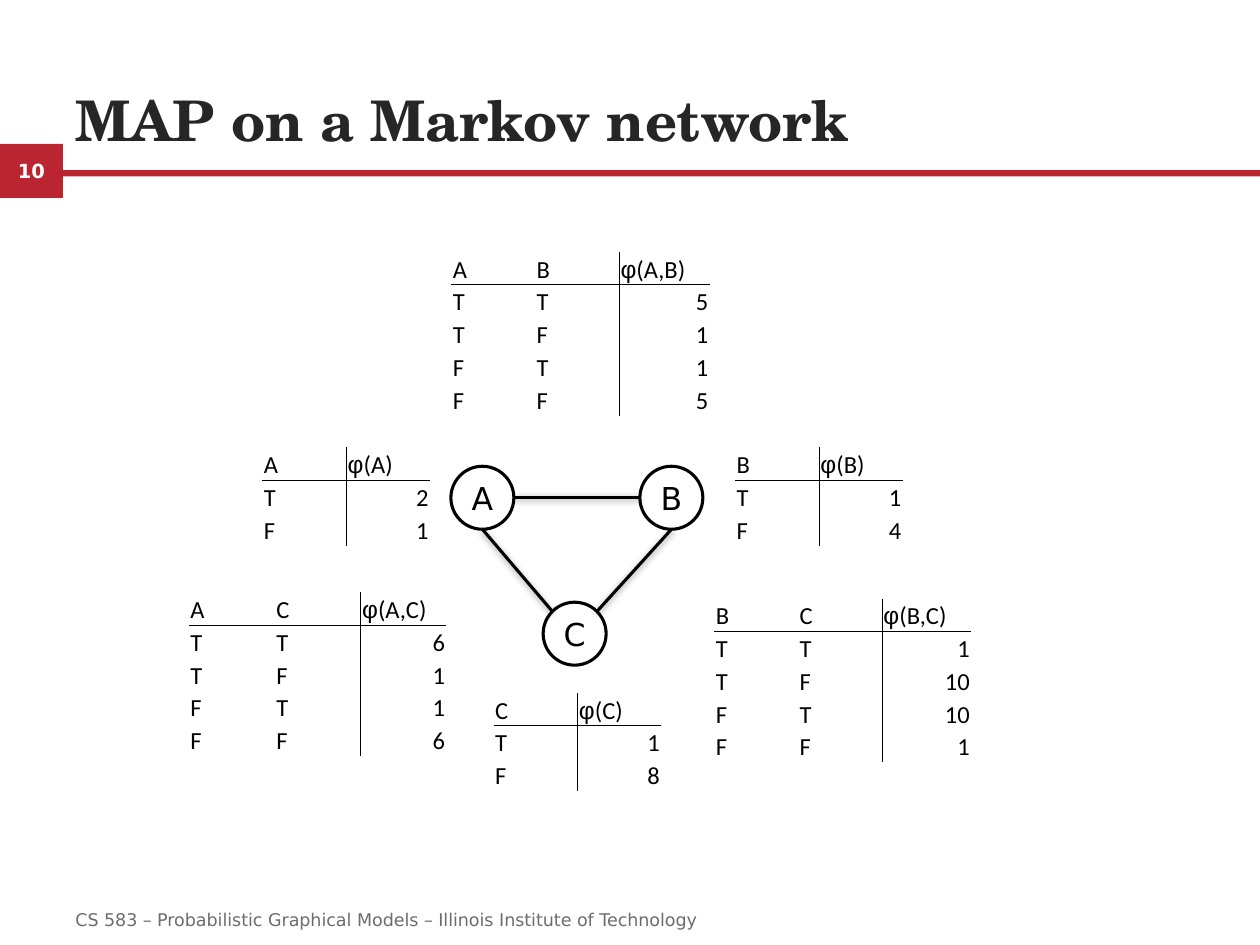
import math
from itertools import product

from lxml import etree
from pptx import Presentation
from pptx.dml.color import RGBColor
from pptx.enum.shapes import MSO_CONNECTOR, MSO_SHAPE
from pptx.enum.text import MSO_ANCHOR, PP_ALIGN
from pptx.oxml.ns import qn
from pptx.util import Cm, Pt

RECTANGLE, ELLIPSE = MSO_SHAPE.RECTANGLE, MSO_SHAPE.OVAL
STRAIGHT = MSO_CONNECTOR.STRAIGHT
MIDDLE, BOTTOM = MSO_ANCHOR.MIDDLE, MSO_ANCHOR.BOTTOM
LEFT, CENTER, RIGHT = PP_ALIGN.LEFT, PP_ALIGN.CENTER, PP_ALIGN.RIGHT

COLORS = {"accent": "BB2532", "title": "262626", "footer": "6D6D6D",
          "ink": "000000", "paper": "FFFFFF"}
TITLE_FONT, BODY_FONT = "TeX Gyre Schola", "DejaVu Sans"
TABLE_FONT, GREEK_FONT = "Calibri", "Arial"

TITLE = "MAP on a Markov network"
FOOTER = "CS 583 – Probabilistic Graphical Models – Illinois Institute of Technology"
PAGE = "10"

# Lengths are centimetres; angles are degrees, clockwise from the right.
NODE_SIZE = 1.27
NODES = {"A": (9.09, 9.4), "C": (10.95, 12.14), "B": (12.9, 9.4)}
EDGES = [("A", 0, "B", 180), ("C", -45, "B", 90), ("A", 90, "C", -135)]

# variables, values in the order TT, TF, FT, FF, left, top, column widths
FACTORS = [
    ("A", (2, 1), 5.29, 9.02, (1.69, 1.69)),
    ("B", (1, 4), 14.82, 9.02, (1.69, 1.69)),
    ("C", (1, 8), 9.95, 13.97, (1.69, 1.69)),
    ("AB", (5, 1, 1, 5), 9.1, 5.08, (1.69, 1.69, 1.83)),
    ("BC", (1, 10, 10, 1), 14.4, 12.07, (1.69, 1.69, 1.8)),
    ("AC", (6, 1, 1, 6), 3.81, 11.94, (1.73, 1.73, 1.73)),
]
ROW_HEIGHT = 0.66
INSET = 0.03


def rgb(name):
    return RGBColor.from_string(COLORS[name])


def format_run(run, size, font, color, bold=False):
    run.font.size, run.font.name, run.font.bold = Pt(size), font, bold
    run.font.color.rgb = rgb(color)


def write(frame, text, size, font, color, anchor, align=LEFT, bold=False):
    frame.text = text
    frame.word_wrap = True
    frame.vertical_anchor = anchor
    paragraph = frame.paragraphs[0]
    paragraph.alignment = align
    format_run(paragraph.runs[0], size, font, color, bold)


def add_text(slide, box, *style, **options):
    label = slide.shapes.add_textbox(*map(Cm, box))
    write(label.text_frame, *style, **options)


def add_filled(slide, kind, box, color):
    shape = slide.shapes.add_shape(kind, *map(Cm, box))
    shape.shadow.inherit = False
    shape.fill.solid()
    shape.fill.fore_color.rgb = rgb(color)
    shape.line.fill.background()
    return shape


def add_node(slide, name):
    node = add_filled(slide, ELLIPSE, (*NODES[name], NODE_SIZE, NODE_SIZE), "paper")
    node.line.color.rgb = rgb("ink")
    node.line.width = Pt(1.75)
    frame = node.text_frame
    frame.margin_left = frame.margin_right = frame.margin_top = frame.margin_bottom = 0
    write(frame, name, 18, BODY_FONT, "ink", MIDDLE, CENTER)


def rim_point(name, angle):
    radius = NODE_SIZE / 2
    left, top = NODES[name]
    turn = math.radians(angle)
    return (Cm(left + radius + radius * math.cos(turn)),
            Cm(top + radius + radius * math.sin(turn)))


def add_edge(slide, start, start_angle, end, end_angle):
    edge = slide.shapes.add_connector(
        STRAIGHT, *rim_point(start, start_angle), *rim_point(end, end_angle))
    edge.line.color.rgb = rgb("ink")
    edge.line.width = Pt(1.75)
    effects = etree.SubElement(edge.element.spPr, qn("a:effectLst"))
    shadow = etree.SubElement(effects, qn("a:outerShdw"), blurRad=str(Pt(4)),
                              dist=str(Pt(1)), dir=str(88 * 60000), rotWithShape="0")
    color = etree.SubElement(shadow, qn("a:srgbClr"), val=COLORS["ink"])
    etree.SubElement(color, qn("a:alpha"), val="40000")


def set_borders(cell, ruled):
    """Rule the sides named in ruled (L, R, T, B) and clear the others."""
    properties = cell._tc.get_or_add_tcPr()
    for index, side in enumerate("LRTB"):
        line = etree.Element(qn(f"a:ln{side}"), w=str(Pt(0.5)))
        if side in ruled:
            fill = etree.SubElement(line, qn("a:solidFill"))
            etree.SubElement(fill, qn("a:srgbClr"), val=COLORS["ink"])
        else:
            etree.SubElement(line, qn("a:noFill"))
        properties.insert(index, line)


def add_factor(slide, variables, values, left, top, widths):
    states = product("TF", repeat=len(variables))
    rows = [[*variables, "φ"]]
    rows += [[*state, str(value)] for state, value in zip(states, values)]
    table = slide.shapes.add_table(
        len(rows), len(widths), Cm(left), Cm(top),
        Cm(sum(widths)), Cm(ROW_HEIGHT * len(rows))).table
    table.first_row = table.horz_banding = False
    for column, width in zip(table.columns, widths):
        column.width = Cm(width)
    last = len(variables)
    for r, row in enumerate(rows):
        table.rows[r].height = Cm(ROW_HEIGHT)
        for c, text in enumerate(row):
            cell = table.cell(r, c)
            is_value, is_header = c == last, r == 0
            cell.margin_left = cell.margin_right = cell.margin_top = Cm(INSET)
            cell.margin_bottom = 0
            cell.fill.background()
            font = GREEK_FONT if is_header and is_value else TABLE_FONT
            write(cell.text_frame, text, 14, font, "ink", BOTTOM,
                  RIGHT if is_value and not is_header else LEFT)
            cell.vertical_anchor = BOTTOM
            if is_header and is_value:
                arguments = cell.text_frame.paragraphs[0].add_run()
                arguments.text = f"({','.join(variables)})"
                format_run(arguments, 14, TABLE_FONT, "ink")
            ruled = {0: "B", 1: "T"}.get(r, "")
            ruled += {last - 1: "R", last: "L"}.get(c, "")
            set_borders(cell, ruled)


def main():
    deck = Presentation()
    deck.slide_width, deck.slide_height = Cm(25.4), Cm(19.05)
    slide = deck.slides.add_slide(deck.slide_layouts[6])

    page_tab = add_filled(slide, RECTANGLE, (0, 2.9, 1.27, 1.09), "accent")
    write(page_tab.text_frame, PAGE, 11.1, BODY_FONT, "paper", MIDDLE, CENTER, bold=True)
    add_filled(slide, RECTANGLE, (1.27, 3.43, 24.13, 0.13), "accent")
    add_text(slide, (1.27, 0.97, 22.86, 2.24), TITLE, 32, TITLE_FONT, "title",
             BOTTOM, bold=True)
    add_text(slide, (1.27, 18.03, 20.75, 1.02), FOOTER, 10, BODY_FONT, "footer", MIDDLE)

    for name in NODES:
        add_node(slide, name)
    for edge in EDGES:
        add_edge(slide, *edge)
    for factor in FACTORS:
        add_factor(slide, *factor)

    deck.save("out.pptx")


if __name__ == "__main__":
    main()
